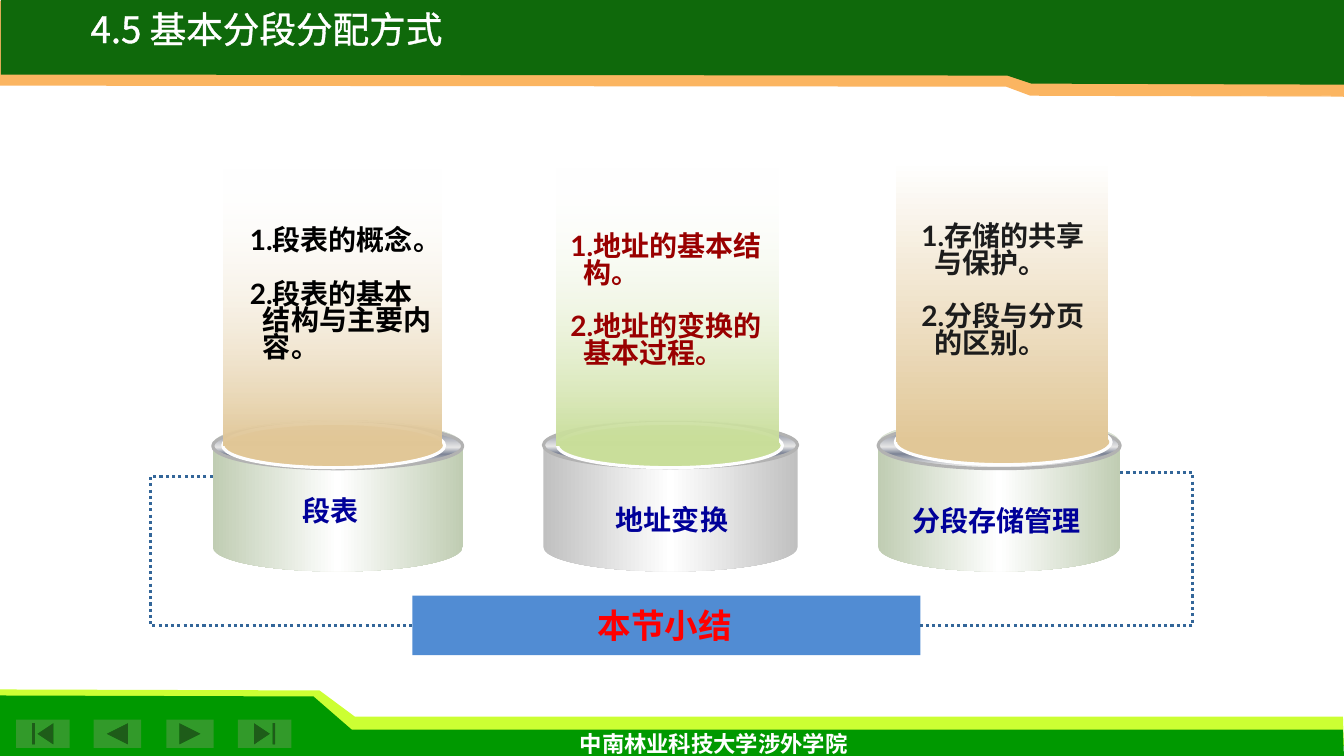
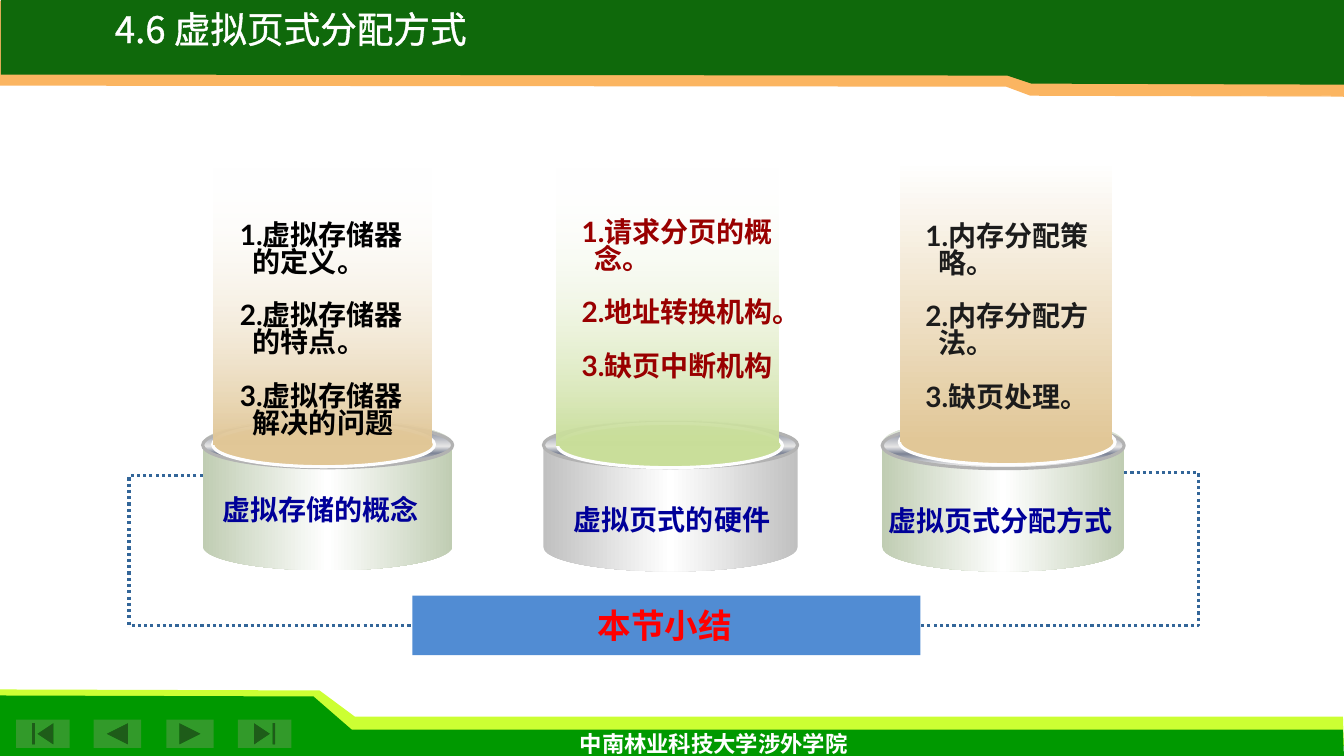
from dataclasses import dataclass
from typing import NamedTuple

from lxml import etree
from pptx import Presentation
from pptx import util as u
from pptx.dml.color import RGBColor
from pptx.enum import dml, shapes, text
from pptx.oxml import ns

Inches, Pt = u.Inches, u.Pt
Kind = shapes.MSO_SHAPE

COLORS = {
    "white": "FFFFFF", "lime": "CCFF33", "green": "009900", "button": "329A2A",
    "orange": "FBB561", "dark_green": "0F690B", "banner": "518CD3", "link": "336699",
    "red": "FF0000", "navy": "000099", "black": "000000", "maroon": "990000",
    "charcoal": "1C1C1C", "sage": "C0CDB3", "silver": "C0C0C0", "tan": "E1C797",
    "light_green": "C9DE9A", "rim": "B2B2B2", "disc_edge": "FEFEFE",
    "metal": "E6E6E6", "metal_dark": "7D8496",
}


class Box(NamedTuple):
    left: float
    top: float
    width: float
    height: float

    def moved(self, left: float, top: float) -> "Box":
        return Box(self.left + left, self.top + top, self.width, self.height)

    def lengths(self) -> list:
        return [Inches(value) for value in self]


class Stop(NamedTuple):
    position: int
    color: str
    alpha: int = 100


class Band(NamedTuple):
    color: str
    points: list
    alpha: int = 100


@dataclass
class ColumnStyle:
    """Parts of a cylinder, measured from its top left corner."""
    left: float
    top: float
    can: Box
    rim: Box
    disc: Box
    beam: Box
    label: Box
    can_color: str
    beam_color: str
    note_color: str
    top_alpha: int = 0


@dataclass
class Column:
    label: str
    notes: list
    note_box: Box
    shift: tuple = (0, 0)


@dataclass
class Summary:
    title: str
    title_left: float
    bends: tuple
    columns: list


BANDS = [
    Band("lime", [(0, 6.84), (3.17, 6.85), (3.52, 7.11), (13.32, 7.11), (13.33, 7.4), (0.01, 7.4)]),
    Band("green", [(0, 6.9), (3.11, 6.91), (3.49, 7.24), (13.32, 7.24), (13.33, 7.51), (0, 7.53)]),
    Band("orange", [(13.33, 0.01), (0, 0.01), (0, 0.85), (9.98, 0.86), (10.22, 0.95), (13.33, 0.96)]),
    Band("dark_green", [(13.34, -0.03), (0.01, -0.03), (0.01, 0.74), (9.99, 0.75), (10.23, 0.83),
                        (13.34, 0.84)]),
    Band("white", [(10.05, 0.96), (13.2, 0.95), (13.19, 1.01), (10.19, 1.01)], 30),
]
BUTTONS = [
    (Kind.ACTION_BUTTON_BACK_OR_PREVIOUS, 0.93, 0.47),
    (Kind.ACTION_BUTTON_FORWARD_OR_NEXT, 1.65, 0.47),
    (Kind.ACTION_BUTTON_BEGINNING, 0.16, 0.53),
    (Kind.ACTION_BUTTON_END, 2.36, 0.53),
]
BANNER = Box(4.09, 5.91, 5.04, 0.59)
METAL = [Stop(0, "metal"), Stop(15, "metal_dark"), Stop(53, "metal"),
         Stop(68, "metal_dark"), Stop(93, "metal"), Stop(100, "white")]
STYLES = [
    ColumnStyle(2.11, 4.17, Box(0, 0, 2.48, 1.5), Box(0, 0.03, 2.48, 0.45),
                Box(0.1, 0.03, 2.2, 0.44), Box(0.11, -2.51, 2.16, 2.76),
                Box(-0.05, 0.68, 2.44, 0.44), "sage", "tan", "black"),
    ColumnStyle(5.39, 4.17, Box(0, 0, 2.52, 1.5), Box(0, 0.02, 2.52, 0.45),
                Box(0.14, 0.03, 2.23, 0.44), Box(0.13, -2.51, 2.2, 2.76),
                Box(-0.22, 0.77, 2.99, 0.44), "silver", "light_green", "maroon"),
    ColumnStyle(8.71, 4.15, Box(0, 0, 2.4, 1.52), Box(0, 0.04, 2.4, 0.46),
                Box(0.17, 0.01, 2.14, 0.45), Box(0.18, -2.56, 2.1, 2.8),
                Box(-0.22, 0.8, 2.79, 0.44), "sage", "tan", "charcoal", 100),
]
SUMMARIES = [
    Summary("4.5 基本分段分配方式", 0.4, (1.49, 11.83), [
        Column("段表", ["段表的概念。", "段表的基本结构与主要内容。"], Box(2.38, 2.22, 2.05, 1.98)),
        Column("地址变换", ["地址的基本结构。", "地址的变换的基本过程。"], Box(5.56, 2.28, 2.1, 1.72)),
        Column("分段存储管理", ["存储的共享与保护。", "分段与分页的区别。"],
               Box(9.04, 2.18, 2.01, 1.72)),
    ]),
    Summary("4.6 虚拟页式分配方式", 0.64, (1.28, 11.89), [
        Column("虚拟存储的概念", ["虚拟存储器的定义。", "虚拟存储器的特点。", "虚拟存储器解决的问题"],
               Box(2.28, 2.17, 2.05, 2.79), (-0.1, -0.01)),
        Column("虚拟页式的硬件", ["请求分页的概念。", "地址转换机构。", "缺页中断机构"],
               Box(5.67, 2.14, 2.1, 2.25)),
        Column("虚拟页式分配方式", ["内存分配策略。", "内存分配方法。", "缺页处理。"],
               Box(9.08, 2.18, 2.01, 1.98), (0.04, 0)),
    ]),
]


def rgb(color: str) -> RGBColor:
    return RGBColor.from_string(COLORS[color])


def add_element(parent, tag: str, **attributes):
    return etree.SubElement(parent, ns.qn(tag), attributes)


def set_alpha(color_element, percent: int) -> None:
    if percent < 100:
        add_element(color_element, "a:alpha", val=str(percent * 1000))


def finish(shape, fill: str, line: str = "", alpha: int = 100):
    """Give a shape a plain fill and an optional outline."""
    shape.shadow.inherit = False
    shape.fill.solid()
    shape.fill.fore_color.rgb = rgb(fill)
    set_alpha(shape.element.spPr.find(".//" + ns.qn("a:srgbClr")), alpha)
    if line:
        shape.line.color.rgb = rgb(line)
        shape.line.width = Pt(2.25)
    else:
        shape.line.fill.background()
    return shape


def add_shape(slide, kind, box: Box, fill: str, line: str = ""):
    return finish(slide.shapes.add_shape(kind, *box.lengths()), fill, line)


def set_gradient(shape, stops: list, angle: int) -> None:
    """Replace the fill by a linear gradient, its angle measured clockwise."""
    shape.fill.gradient()
    shape.fill.gradient_angle = (360 - angle) % 360
    stop_list = shape.element.spPr.find(".//" + ns.qn("a:gsLst"))
    for old_stop in list(stop_list):
        stop_list.remove(old_stop)
    for stop in stops:
        stop_element = add_element(stop_list, "a:gs", pos=str(stop.position * 1000))
        set_alpha(add_element(stop_element, "a:srgbClr", val=COLORS[stop.color]), stop.alpha)


def add_text(slide, box: Box, lines: list, *, size: float, color: str, font: str = "Arial",
             asian: str = "Lato", bold: bool = True, align=text.PP_ALIGN.CENTER,
             spacing: float = 1, gap: float = 0, numbered: bool = False,
             wrap: bool = True, outline: float = 0) -> None:
    frame = slide.shapes.add_textbox(*box.lengths()).text_frame
    frame.word_wrap = wrap
    for index, line in enumerate(lines):
        paragraph = frame.paragraphs[0] if index == 0 else frame.add_paragraph()
        paragraph.alignment = align
        paragraph.line_spacing = spacing
        if index:
            paragraph.space_before = Pt(gap)
        if numbered:
            properties = paragraph._p.get_or_add_pPr()
            properties.set("marL", str(Inches(0.13)))
            properties.set("indent", str(-Inches(0.13)))
            add_element(properties, "a:buAutoNum", type="arabicPeriod")
        run = paragraph.add_run()
        run.text = line
        run.font.size, run.font.bold, run.font.name = Pt(size), bold, font
        run.font.color.rgb = rgb(color)
        run_properties = run._r.get_or_add_rPr()
        run_properties.find(ns.qn("a:latin")).addnext(
            etree.Element(ns.qn("a:ea"), {"typeface": asian}))
        if outline:
            edge = etree.Element(ns.qn("a:ln"), {"w": str(Pt(outline))})
            add_element(add_element(edge, "a:solidFill"), "a:srgbClr", val=COLORS[color])
            run_properties.insert(0, edge)


def draw_frame(slide) -> None:
    """Bands, navigation buttons and footer shared by all slides."""
    for band in BANDS[:2]:
        draw_band(slide, band)
    for kind, left, width in BUTTONS:
        add_shape(slide, kind, Box(left, 7.14, width, 0.28), "button")
    for band in BANDS[2:]:
        draw_band(slide, band)
    add_text(slide, Box(4.86, 7.19, 4.44, 0.37), ["中南林业科技大学涉外学院"],
             size=16, color="white", font="Lato")


def draw_band(slide, band: Band) -> None:
    points = [(Inches(x), Inches(y)) for x, y in band.points]
    builder = slide.shapes.build_freeform(*points[0])
    builder.add_line_segments(points[1:], close=True)
    finish(builder.convert_to_shape(), band.color, alpha=band.alpha)


def move_to_layout(slide, layout) -> None:
    for placeholder in list(layout.placeholders):
        placeholder.element.getparent().remove(placeholder.element)
    for shape in list(slide.shapes):
        layout.element.cSld.spTree.append(shape.element)


def draw_link(slide, start: tuple, end: tuple, bend: float) -> None:
    """Dotted elbow that swings out to the bend before reaching the banner."""
    link = slide.shapes.add_connector(shapes.MSO_CONNECTOR.ELBOW,
                                      *[Inches(value) for value in start + end])
    link.line.color.rgb = rgb("link")
    link.line.width = Pt(2.25)
    link.line.dash_style = dml.MSO_LINE.ROUND_DOT
    properties = link.element.spPr
    add_element(properties, "a:effectLst")
    guides = properties.find(".//" + ns.qn("a:avLst"))
    ratio = (bend - start[0]) / (end[0] - start[0])
    add_element(guides, "a:gd", name="adj1", fmla=f"val {round(ratio * 100000)}")


def draw_column(slide, style: ColumnStyle, column: Column) -> None:
    origin = (style.left + column.shift[0], style.top + column.shift[1])
    can = add_shape(slide, Kind.CAN, style.can.moved(*origin), style.can_color)
    can.adjustments[0] = 0.32
    set_gradient(can, [Stop(0, style.can_color), Stop(50, "white"), Stop(100, style.can_color)], 0)
    rim = add_shape(slide, Kind.OVAL, style.rim.moved(*origin), "metal", "rim")
    set_gradient(rim, METAL, 90)
    add_shape(slide, Kind.OVAL, style.disc.moved(*origin), style.beam_color, "disc_edge")
    beam = add_shape(slide, Kind.RECTANGLE, style.beam.moved(*origin), style.beam_color)
    set_gradient(beam, [Stop(0, "white", style.top_alpha), Stop(100, style.beam_color)], 90)
    add_text(slide, column.note_box, column.notes, size=20, color=style.note_color,
             align=text.PP_ALIGN.LEFT, spacing=0.8, gap=19.2, numbered=True)
    add_text(slide, style.label.moved(*origin), [column.label], size=20, color="navy")


def draw_summary(slide, summary: Summary) -> None:
    # Banner and the links to the outer cylinders
    add_shape(slide, Kind.RECTANGLE, BANNER, "banner")
    first, last = STYLES[0], STYLES[-1]
    first_shift, last_shift = summary.columns[0].shift, summary.columns[-1].shift
    middle = BANNER.top + BANNER.height / 2
    draw_link(slide, (first.left + first_shift[0], first.top + first_shift[1] + 0.56),
              (BANNER.left, middle), summary.bends[0])
    draw_link(slide, (last.left + last.can.width + last_shift[0], last.top + 0.54),
              (BANNER.left + BANNER.width, middle), summary.bends[1])
    add_text(slide, Box(4.7, 5.95, 3.79, 0.5), ["本节小结"], size=24, color="red", outline=0.75)
    # Cylinders and title
    for style, column in zip(STYLES, summary.columns):
        draw_column(slide, style, column)
    add_text(slide, Box(summary.title_left, 0.1, 4.49, 0.46), [summary.title], size=26.1,
             color="white", font="Noto Sans CJK SC", asian="Noto Sans CJK SC", bold=False,
             spacing=0.8, wrap=False, outline=1.5)


def main() -> None:
    presentation = Presentation()
    presentation.slide_width, presentation.slide_height = Inches(13.33), Inches(7.5)
    layout = presentation.slide_layouts[6]
    for index, summary in enumerate(SUMMARIES):
        slide = presentation.slides.add_slide(layout)
        if index == 0:
            draw_frame(slide)
            move_to_layout(slide, layout)
        draw_summary(slide, summary)
    presentation.save("out.pptx")


if __name__ == "__main__":
    main()
